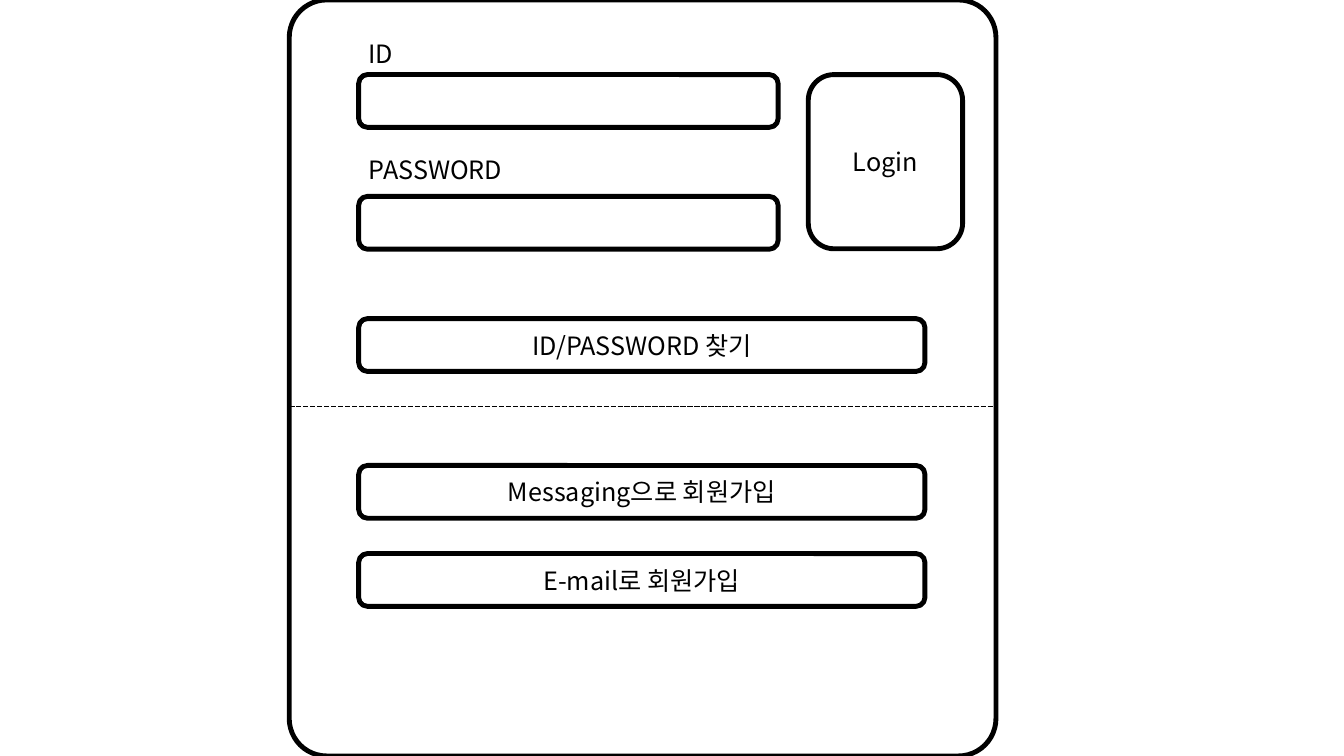
from pptx import Presentation
from pptx.dml.color import RGBColor as Rgb
from pptx.enum.dml import MSO_LINE as Dash
from pptx.enum.shapes import MSO_CONNECTOR as Link, MSO_SHAPE as Kind
from pptx.enum.text import MSO_ANCHOR as Anchor, MSO_AUTO_SIZE as Fit, PP_ALIGN as Align
from pptx.oxml.ns import qn
from pptx.util import Cm, Pt
from lxml.etree import SubElement as Sub

HUES = {"ink": "000000"}
FONT = "Noto Sans CJK KR"
INK = Rgb.from_string(HUES["ink"])
PAD = 1.75      # inset of fields and buttons from the panel's left edge
BAR = 1.33      # height of a field or button
FIELD = 10.57   # width of an entry field
WIDE = 14.27    # width of a button


def write(frame, words, align):
    """Write one run of text into a text frame."""
    para = frame.paragraphs[0]
    para.alignment = align
    run = para.add_run()
    run.text = words
    font = run.font
    font.size, font.name = Pt(18), FONT
    font.color.rgb = INK
    Sub(run._r.get_or_add_rPr(), qn("a:ea"), typeface=FONT)


def box(group, x, y, w, h, words="", round=None):
    """Draw an outlined round box, with centred words if given."""
    shape = group.shapes.add_shape(Kind.ROUNDED_RECTANGLE, Cm(x), Cm(y), Cm(w), Cm(h))
    shape.shadow.inherit = False
    shape.fill.background()
    shape.line.color.rgb = INK
    shape.line.width = Pt(3.5)
    if round is not None:
        shape.adjustments[0] = round
    if words:
        shape.text_frame.vertical_anchor = Anchor.MIDDLE
        write(shape.text_frame, words, Align.CENTER)


def label(group, x, y, w, words):
    """Place a one-line label that fits its text."""
    text = group.shapes.add_textbox(Cm(x), Cm(y), Cm(w), Cm(1.02)).text_frame
    text.word_wrap = False
    text.auto_size = Fit.SHAPE_TO_FIT_TEXT
    write(text, words, Align.LEFT)


def rule(group, x, y, w):
    """Draw a dashed line across the panel."""
    line = group.shapes.add_connector(Link.STRAIGHT, Cm(x), Cm(y), Cm(x + w), Cm(y))
    line.line.color.rgb = INK
    line.line.width = Pt(1.25)
    line.line.dash_style = Dash.SQUARE_DOT
    Sub(line._element.spPr, qn("a:effectLst"))


def login(group, x, y):
    """Place the entry fields, the login button and the search button."""
    rows = [("ID", 1.14, 0.84, 1.88), ("PASSWORD", 3.89, 3.76, 4.95)]
    for words, w, high, low in rows:
        label(group, x + PAD, y + high, w, words)
        box(group, x + PAD, y + low, FIELD, BAR)
    box(group, x + 13.08, y + 1.88, 3.89, 4.39, "Login")
    box(group, x + PAD, y + 8.03, WIDE, BAR, "ID/PASSWORD 찾기")


def join(group, x, y):
    """Place the sign-up buttons at an equal step."""
    for i, words in enumerate(["Messaging으로 회원가입", "E-mail로 회원가입"]):
        box(group, x + PAD, y + 2.22 * i, WIDE, BAR, words)


def panel(slide, x, y, w, h):
    """Build the whole sign-in panel in the given box."""
    group = slide.shapes.add_group_shape()
    box(group, x, y, w, h, round=0.053)
    login(group, x, y)
    rule(group, x, y + 10.24, w)
    join(group, x, y + 11.73)


deck = Presentation()
deck.slide_width, deck.slide_height = Cm(33.87), Cm(19.05)
page = deck.slides.add_slide(deck.slide_layouts[6])
panel(page, 7.29, 0, 17.81, 19.05)
deck.save("out.pptx")
